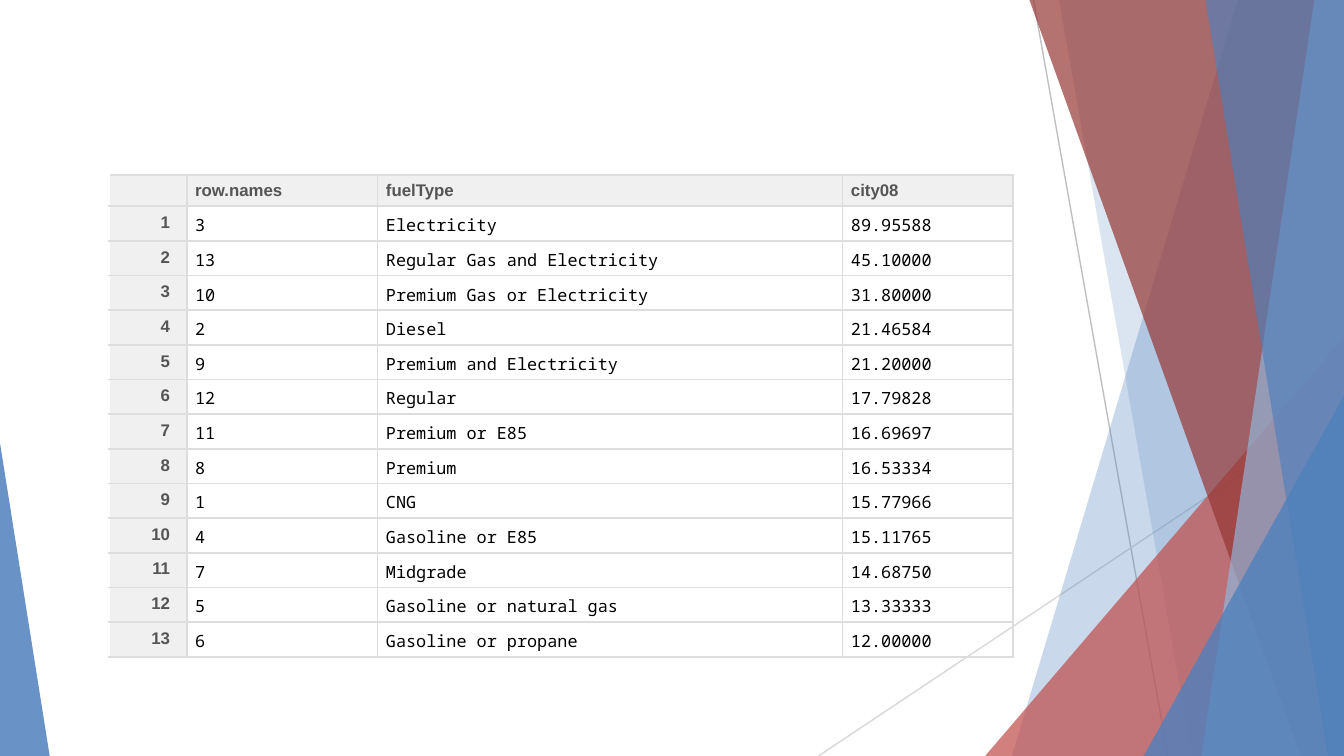
from pptx import Presentation
from pptx.dml.color import RGBColor
from pptx.enum.shapes import MSO_CONNECTOR, MSO_SHAPE
from pptx.enum.text import PP_ALIGN
from pptx.oxml.ns import qn
from pptx.util import Inches, Pt
from lxml.etree import SubElement

SLIDE_WIDTH = 10
SLIDE_HEIGHT = SLIDE_WIDTH * 9 / 16

BLUE = RGBColor(0x4F, 0x81, 0xBD)
PALE_BLUE = RGBColor(0x93, 0xB3, 0xD7)
RED = RGBColor(0xC0, 0x50, 0x4D)
DARK_RED = RGBColor(0x95, 0x37, 0x34)
GREY = RGBColor(0xBF, 0xBF, 0xBF)
LIGHT_GREY = RGBColor(0xD8, 0xD8, 0xD8)
BORDER = RGBColor(0xDD, 0xDD, 0xDD)
HEADER_FILL = RGBColor(0xF0, 0xF0, 0xF0)
HEADER_TEXT = RGBColor(0x55, 0x55, 0x55)
BLACK = RGBColor(0, 0, 0)

HEADERS = ["", "row.names", "fuelType", "city08"]
FUELS = [
    ("3", "Electricity", "89.95588"),
    ("13", "Regular Gas and Electricity", "45.10000"),
    ("10", "Premium Gas or Electricity", "31.80000"),
    ("2", "Diesel", "21.46584"),
    ("9", "Premium and Electricity", "21.20000"),
    ("12", "Regular", "17.79828"),
    ("11", "Premium or E85", "16.69697"),
    ("8", "Premium", "16.53334"),
    ("1", "CNG", "15.77966"),
    ("4", "Gasoline or E85", "15.11765"),
    ("7", "Midgrade", "14.68750"),
    ("5", "Gasoline or natural gas", "13.33333"),
    ("6", "Gasoline or propane", "12.00000"),
]
COLUMN_WIDTHS = [0.58, 1.42, 3.46, 1.27]


def paint(sp, color, opacity):
    """Fill a borderless shape, with opacity in percent."""
    sp.shadow.inherit = False
    sp.line.fill.background()
    sp.fill.solid()
    sp.fill.fore_color.rgb = color
    clr = sp.fill._xPr.find(".//" + qn("a:srgbClr"))
    SubElement(clr, qn("a:alpha"), val=str(opacity * 1000))


def add_ray(slide, box, start, end, color):
    """Draw a thin line between two points given in inches within the box."""
    left, top, _, _ = box
    ray = slide.shapes.add_connector(
        MSO_CONNECTOR.STRAIGHT,
        Inches(left + start[0]), Inches(top + start[1]),
        Inches(left + end[0]), Inches(top + end[1]))
    ray.line.color.rgb = color
    ray.line.width = Pt(0.75)
    SubElement(ray._element.spPr, qn("a:effectLst"))


def add_band(slide, box, top_x, bottom_x, color, opacity):
    """Fill the box from a slanted left edge to its right side."""
    left, top, width, height = box
    right, bottom = left + width, top + height
    fb = slide.shapes.build_freeform(
        Inches(left + top_x), Inches(top), scale=1.0)
    fb.add_line_segments([
        (Inches(right), Inches(top)),
        (Inches(right), Inches(bottom)),
        (Inches(left + bottom_x), Inches(bottom))])
    paint(fb.convert_to_shape(), color, opacity)


def add_corner(slide, box, width, height, apex, color, opacity):
    """Stand a right triangle in a bottom corner: apex 0 is left, 1 is right."""
    left, top, box_width, box_height = box
    sp = slide.shapes.add_shape(
        MSO_SHAPE.ISOSCELES_TRIANGLE,
        Inches(left + apex * (box_width - width)),
        Inches(top + box_height - height),
        Inches(width), Inches(height))
    sp.adjustments[0] = apex
    paint(sp, color, opacity)


def add_facets(slide, box):
    _, _, width, height = box
    add_ray(slide, box, (7.69, 0), (8.69, height), GREY)
    add_ray(slide, box, (width, 3.02), (6.09, height), LIGHT_GREY)
    add_band(slide, box, 9.21, 7.53, BLUE, 30)
    add_band(slide, box, 7.88, 8.87, BLUE, 20)
    add_corner(slide, box, 2.67, 3.12, 1, RED, 72)
    add_band(slide, box, 7.66, 9.68, DARK_RED, 70)
    add_band(slide, box, 9.78, 8.94, PALE_BLUE, 70)
    add_band(slide, box, 8.97, 9.88, BLUE, 65)
    add_corner(slide, box, 1.49, 2.68, 1, BLUE, 80)
    add_corner(slide, box, 0.37, 2.33, 0, BLUE, 85)


def set_borders(cell, sides):
    tc_pr = cell._tc.get_or_add_tcPr()
    for side in sides:
        ln = SubElement(tc_pr, qn("a:ln" + side), w=str(Pt(1)))
        fill = SubElement(ln, qn("a:solidFill"))
        SubElement(fill, qn("a:srgbClr"), val=str(BORDER))


def format_cell(cell, text, is_header, is_index):
    cell.margin_left, cell.margin_right = Pt(4.5), Pt(9)
    cell.margin_top = cell.margin_bottom = Pt(2.25)
    set_borders(cell, "RTB" if is_index else "LRTB")
    shaded = is_header or is_index
    if shaded:
        cell.fill.solid()
        cell.fill.fore_color.rgb = HEADER_FILL
    else:
        cell.fill.background()
    cell.text_frame.text = text
    p = cell.text_frame.paragraphs[0]
    p.line_spacing = 1.15
    if is_index:
        p.alignment = PP_ALIGN.RIGHT
    for r in p.runs:
        r.font.size = Pt(9)
        r.font.name = "Arial" if shaded else "Noto Sans Mono"
        r.font.bold = shaded
        r.font.color.rgb = HEADER_TEXT if shaded else BLACK
    if not text:
        SubElement(p._p, qn("a:endParaRPr"), sz="900")


def add_fuel_table(slide, box):
    rows = [HEADERS] + [(str(i), *fuel) for i, fuel in enumerate(FUELS, 1)]
    left, top, width, height = box
    table = slide.shapes.add_table(
        len(rows), len(HEADERS), Inches(left), Inches(top),
        Inches(width), Inches(height)).table
    table.first_row = table.horz_banding = False
    for column, column_width in zip(table.columns, COLUMN_WIDTHS):
        column.width = Inches(column_width)
    for i, row in enumerate(rows):
        for j, text in enumerate(row):
            format_cell(table.cell(i, j), text, i == 0, j == 0)


def main():
    prs = Presentation()
    prs.slide_width = Inches(SLIDE_WIDTH)
    prs.slide_height = Inches(SLIDE_HEIGHT)
    slide = prs.slides.add_slide(prs.slide_layouts[6])
    add_facets(slide, (0, 0, SLIDE_WIDTH, SLIDE_HEIGHT))
    add_fuel_table(slide, (0.81, 1.3, sum(COLUMN_WIDTHS), 3.28))
    prs.save("out.pptx")


if __name__ == "__main__":
    main()
